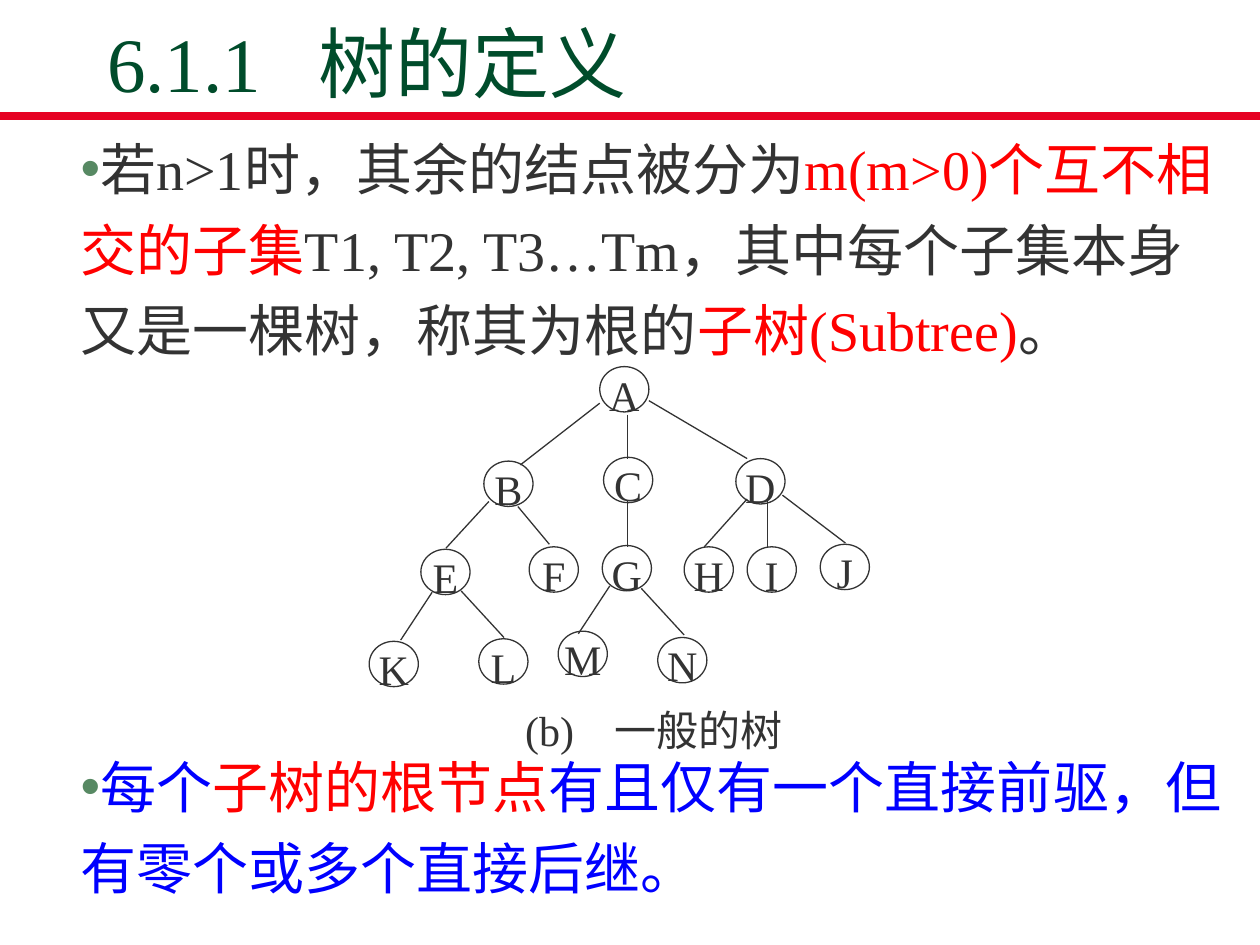
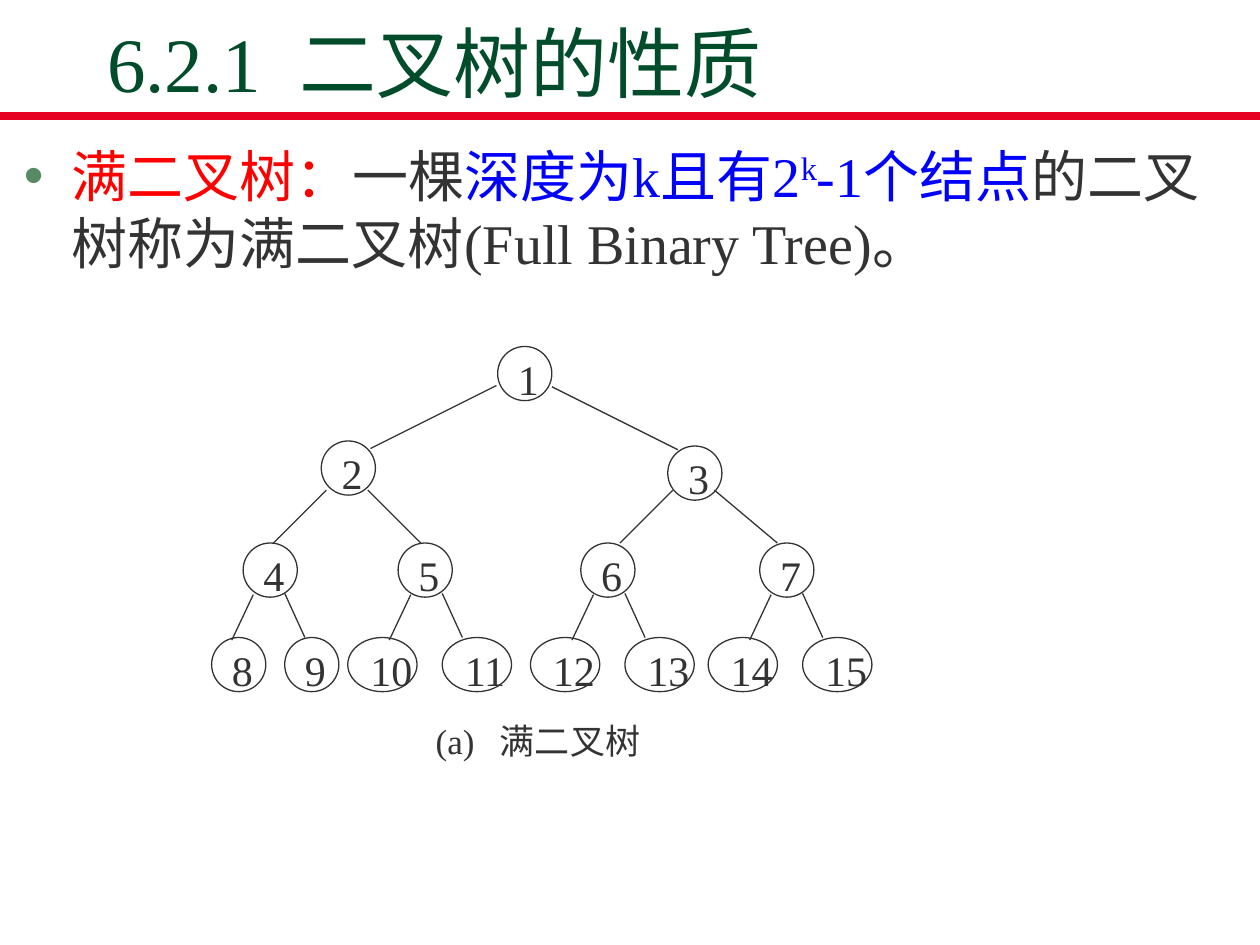
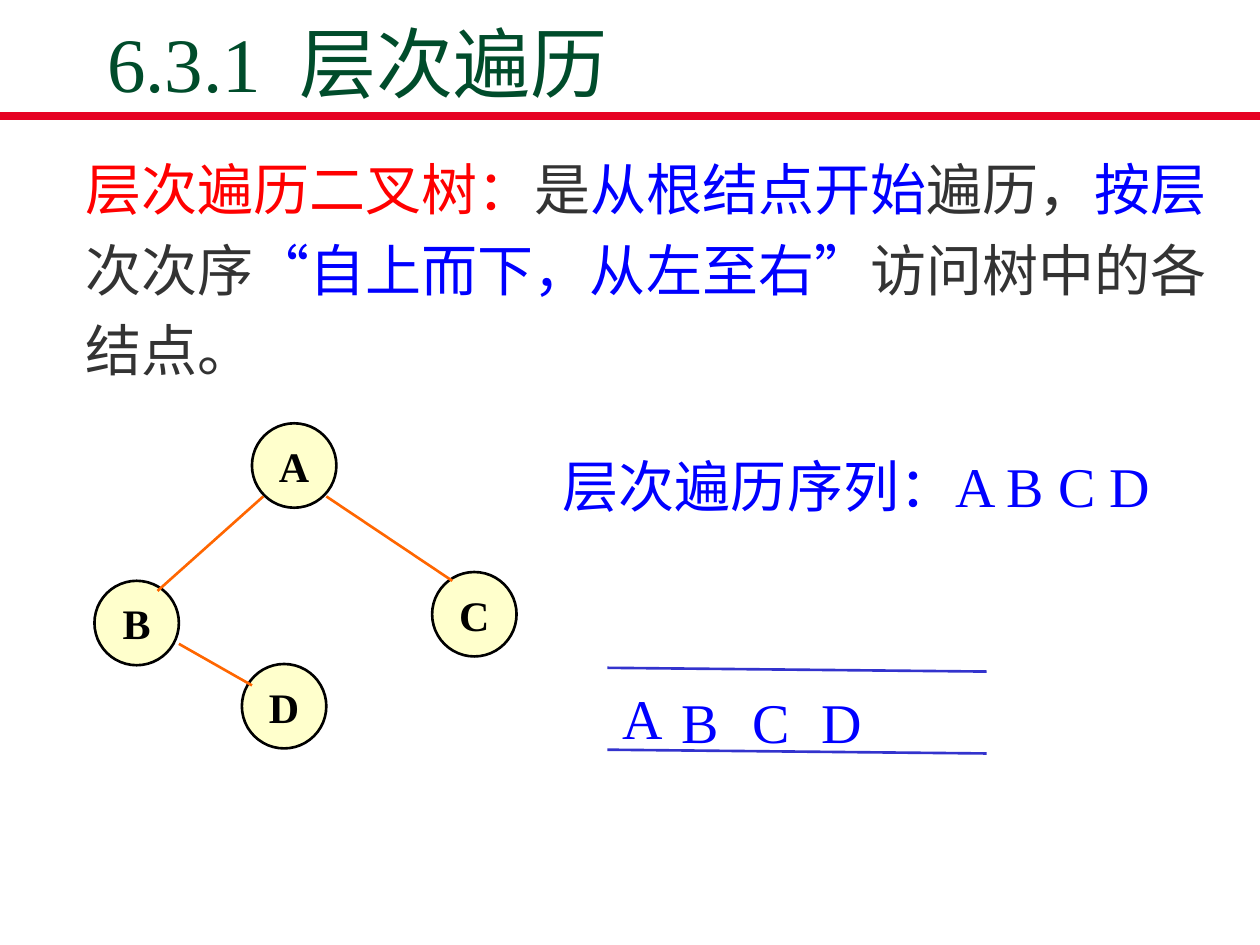
from dataclasses import dataclass

from lxml import etree
from pptx import Presentation
from pptx import util as u
from pptx.dml.color import RGBColor
from pptx.enum import lang, shapes, text
from pptx.oxml import ns

PX = 9144  # EMU per px, 100 px to the inch


@dataclass(frozen=True)
class Theme:
    font: str = "Times New Roman"
    # Colours
    ink: str = "333333"
    title: str = "004C2B"
    band: str = "E60223"
    bullet: str = "578963"
    red: str = "FF0000"
    blue: str = "0000FF"
    black: str = "000000"
    cream: str = "FFFFCC"
    orange: str = "FF6600"
    queue: str = "3333CD"
    # Type sizes in points
    title_size: int = 44
    body_size: int = 32
    node_size: int = 24
    caption_size: int = 20


THEME = Theme()


def color(value):
    return RGBColor.from_string(value)


def add_element(parent, tag, **attributes):
    return etree.SubElement(parent, ns.qn(tag), attributes)


class Deck:
    """Holds the style and the current slide."""

    def __init__(self, theme):
        self.theme = theme
        self.presentation = Presentation()
        self.presentation.slide_width = u.Emu(1000 * PX)
        self.presentation.slide_height = u.Emu(750 * PX)
        self.layout = self.presentation.slide_layouts[1]
        self.slide = None

    def add_slide(self, number, heading, tab):
        first = self.slide is None
        self.slide = self.presentation.slides.add_slide(self.layout)
        if first:
            self.add_band()
        title = self.slide.shapes.title
        self.place(title, 75, 26, 850, 65)
        frame = self.prepare(title, anchor=text.MSO_ANCHOR.BOTTOM)
        self.add_runs(frame.paragraphs[0], [(f"{number}\t{heading}", self.theme.title)],
                      self.theme.title_size, spacing=1.0, tab=tab)

    def add_band(self):
        """The red rule under the title belongs to the layout."""
        band = self.line((0, 92, 1000, 92), self.theme.band, 4.5)
        band.element.nvCxnSpPr.cNvPr.set("id", "20")
        self.layout.shapes.element.append(band.element)

    def place(self, shape, left, top, width, height):
        shape.left, shape.top = u.Emu(left * PX), u.Emu(top * PX)
        shape.width, shape.height = u.Emu(width * PX), u.Emu(height * PX)

    def prepare(self, shape, anchor=text.MSO_ANCHOR.TOP, wrap=True):
        frame = shape.text_frame
        frame.word_wrap = wrap
        frame.auto_size = text.MSO_AUTO_SIZE.NONE
        frame.vertical_anchor = anchor
        return frame

    def add_runs(self, paragraph, runs, size, align=text.PP_ALIGN.LEFT, spacing=1.2,
                 before=0, tab=None, bold=False):
        paragraph.alignment = align
        paragraph.line_spacing = spacing
        paragraph.space_before = u.Pt(before)
        if tab:
            tabs = add_element(paragraph._p.get_or_add_pPr(), "a:tabLst")
            add_element(tabs, "a:tab", pos=str(tab * PX), algn="l")
        for words, ink, *raised in runs:
            run = paragraph.add_run()
            run.text = words
            run.font.name = self.theme.font
            run.font.size = u.Pt(size)
            run.font.bold = bold
            run.font.language_id = lang.MSO_LANGUAGE_ID.SIMPLIFIED_CHINESE
            run.font.color.rgb = color(ink)
            if raised:
                run.font._element.set("baseline", str(raised[0]))

    def body(self, box, paragraphs, margin, indent=0, spacing=1.2, gap=0, bullet=True):
        shape = self.slide.placeholders[1]
        self.place(shape, *box)
        frame = self.prepare(shape)
        for index, runs in enumerate(paragraphs):
            paragraph = frame.add_paragraph() if index else frame.paragraphs[0]
            properties = paragraph._p.get_or_add_pPr()
            properties.set("marL", str(margin * PX))
            properties.set("indent", str(indent * PX))
            if bullet:
                tint = add_element(properties, "a:buClr")
                add_element(tint, "a:srgbClr", val=self.theme.bullet)
                add_element(properties, "a:buChar", char="•")
            else:
                add_element(properties, "a:buNone")
            self.add_runs(paragraph, runs, self.theme.body_size, spacing=spacing,
                          before=gap if index else 0)

    def label(self, box, words, size, ink, anchor=text.MSO_ANCHOR.TOP, tab=None):
        shape = self.slide.shapes.add_textbox(*(u.Emu(length * PX) for length in box))
        frame = self.prepare(shape, anchor)
        self.add_runs(frame.paragraphs[0], [(words, ink)], size, tab=tab)

    def node(self, name, box, fill=None, ink=THEME.ink, width=0.75,
             align=text.PP_ALIGN.CENTER, spacing=1.2, bold=False):
        shape = self.slide.shapes.add_shape(
            shapes.MSO_SHAPE.OVAL, *(u.Emu(length * PX) for length in box))
        shape.shadow.inherit = False
        if fill:
            shape.fill.solid()
            shape.fill.fore_color.rgb = color(fill)
        else:
            shape.fill.background()
        shape.line.color.rgb = color(ink)
        shape.line.width = u.Pt(width)
        frame = self.prepare(shape, text.MSO_ANCHOR.MIDDLE, wrap=False)
        self.add_runs(frame.paragraphs[0], [(name, ink)], self.theme.node_size,
                      align, spacing, bold=bold)

    def line(self, ends, ink=THEME.ink, width=0.75):
        connector = self.slide.shapes.add_connector(
            shapes.MSO_CONNECTOR.STRAIGHT, *(u.Emu(length * PX) for length in ends))
        connector.line.color.rgb = color(ink)
        connector.line.width = u.Pt(width)
        add_element(connector.element.spPr, "a:effectLst")
        return connector


def general_tree(deck):
    theme = deck.theme
    deck.add_slide("6.1.1", "树的定义", tab=168)
    deck.body((4, 91, 984, 645), [
        [("若n>1时，其余的结点被分为", theme.ink),
         ("m(m>0)个互不相交的子集", theme.red),
         ("T1, T2, T3…Tm，其中每个子集本身又是一棵树，称其为根的", theme.ink),
         ("子树(Subtree)", theme.red), ("。", theme.ink)],
        [("每个", theme.blue), ("子树的根节点", theme.red),
         ("有且仅有一个直接前驱，但有零个或多个直接后继。", theme.blue)],
    ], margin=50, gap=215)

    # Nodes, then the edges level by level
    nodes = {"A": (476, 291), "B": (384, 366), "C": (479, 363), "D": (584, 364),
             "E": (334, 436), "F": (420, 434), "G": (478, 433), "H": (543, 434),
             "I": (593, 434), "J": (651, 432), "K": (293, 509), "L": (380, 507),
             "M": (443, 501), "N": (522, 506)}
    for name, corner in nodes.items():
        deck.node(name, (*corner, 39, 36))
    for ends in [
        (476, 320, 413, 369), (498, 329, 498, 364), (515, 318, 593, 364),
        (388, 398, 354, 435), (411, 402, 436, 432), (498, 398, 498, 434),
        (593, 396, 559, 434), (609, 398, 609, 434), (621, 393, 671, 431),
        (343, 470, 318, 508), (366, 469, 400, 506),
        (484, 465, 459, 503), (509, 467, 543, 504),
    ]:
        deck.line(ends)
    deck.label((407, 555, 300, 40), "(b)\t一般的树", theme.node_size, theme.ink,
               text.MSO_ANCHOR.MIDDLE, tab=71)


def full_binary_tree(deck):
    theme = deck.theme
    deck.add_slide("6.2.1", "二叉树的性质", tab=153)
    deck.body((9, 107, 985, 116), [
        [("满二叉树：", theme.red), ("一棵", theme.ink),
         ("深度为k且有2", theme.blue), ("k", theme.blue, 30000),
         ("-1个结点", theme.blue),
         ("的二叉树称为满二叉树(Full Binary Tree)。", theme.ink)],
    ], margin=38, indent=-38, spacing=1.0)

    # Nodes are numbered level by level; two-digit ones are wider
    corners = [(395, 275), (255, 350), (530, 354)]
    corners += [(left, 431) for left in (193, 316, 461, 603)]
    corners += [(left, 506) for left in (168, 226, 276, 351, 421, 496, 562, 637)]
    for number, corner in enumerate(corners, start=1):
        width = 55 if number > 9 else 43
        deck.node(str(number), (*corner, width, 43), align=text.PP_ALIGN.LEFT)

    # Edges
    for ends in [(394, 306, 294, 356), (438, 307, 538, 357),
                 (259, 389, 217, 431), (292, 389, 334, 431),
                 (534, 389, 492, 431), (567, 389, 617, 431)]:
        deck.line(ends)
    for left in (191, 316, 461, 602):
        deck.line((left + 10, 472, left - 7, 508))
        deck.line((left + 35, 471, left + 51, 506))
    deck.label((336, 567, 200, 35), "(a)\t满二叉树", theme.caption_size, theme.ink,
               text.MSO_ANCHOR.MIDDLE, tab=51)


def level_order(deck):
    theme = deck.theme
    deck.add_slide("6.3.1", "层次遍历", tab=153)
    deck.body((20, 107, 974, 221), [
        [("层次遍历二叉树：", theme.red), ("是", theme.ink),
         ("从根结点开始", theme.blue), ("遍历，", theme.ink),
         ("按层", theme.blue), ("次次序", theme.ink),
         ("“自上而下，从左至右”", theme.blue), ("访问树中的各结点。", theme.ink)],
    ], margin=38, bullet=False)

    # Tree
    nodes = {"A": (200, 336), "B": (75, 461), "C": (343, 454), "D": (192, 527)}
    for name, corner in nodes.items():
        deck.node(name, (*corner, 67, 67), theme.cream, theme.black, 1.5,
                  spacing=1.0, bold=True)
    for ends in [(209, 394, 125, 469), (259, 394, 359, 461), (142, 511, 200, 544)]:
        deck.line(ends, theme.orange, 1.5)

    # Visiting order and queue
    deck.label((437, 343, 546, 75), "层次遍历序列：A B C D", theme.body_size, theme.blue)
    for top in (530, 595):
        deck.line((482, top, 783, top + 3), theme.queue, 1.5)
    for name, left, top in [("A", 484, 527), ("B", 531, 530),
                            ("C", 587, 530), ("D", 642, 530)]:
        deck.label((left, top, 55, 75), name, theme.body_size, theme.blue)


def main():
    deck = Deck(THEME)
    general_tree(deck)
    full_binary_tree(deck)
    level_order(deck)
    deck.presentation.save("out.pptx")


if __name__ == "__main__":
    main()
